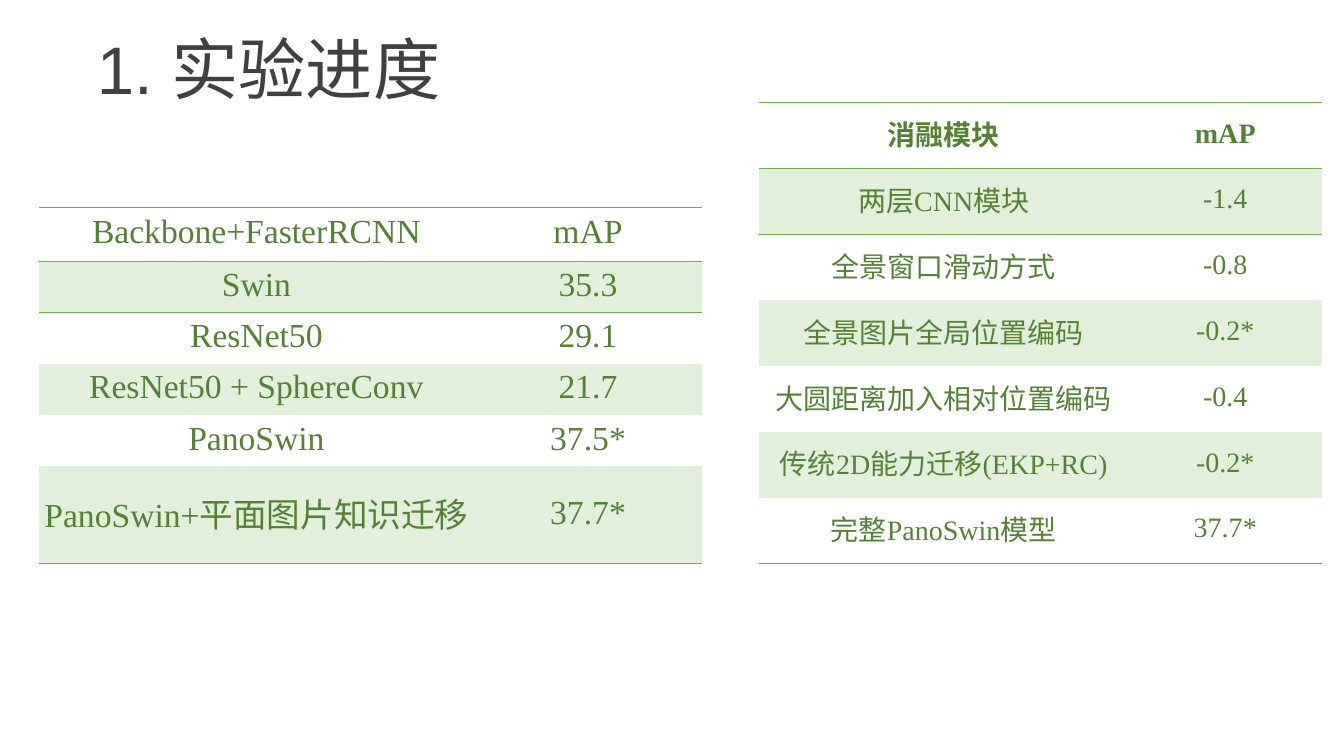
from dataclasses import dataclass

from lxml.etree import SubElement
from pptx import Presentation
from pptx.dml.color import RGBColor
from pptx.enum.text import MSO_ANCHOR, MSO_AUTO_SIZE, PP_ALIGN
from pptx.oxml.ns import qn
from pptx.slide import Slide
from pptx.table import _Cell
from pptx.text.text import TextFrame
from pptx.util import Pt

TITLE_GREY = "404040"
TEXT_GREEN = "548235"
RULE_GREEN = "70AD47"
BAND_GREEN = "E2EFDA"
PLAIN_TABLE_STYLE = "{2D5ABB26-0587-4C30-8999-92F81FD0307C}"
CELL_FORMAT = {
    "vertical_anchor": MSO_ANCHOR.MIDDLE,
    "margin_left": Pt(0.7),
    "margin_right": Pt(0.7),
    "margin_top": Pt(0.7),
    "margin_bottom": Pt(3.6),
}


@dataclass
class ResultTable:
    left: float
    top: float
    column_widths: list[float]
    row_heights: list[float]
    text_size: float
    bold_header: bool
    results: list[tuple[str, str]]


RESULT_TABLES = [
    ResultTable(28, 148.3, [310.3, 163.4], [38.2] + [36.7] * 4 + [69.2], 24, False, [
        ("Backbone+FasterRCNN", "mAP"),
        ("Swin", "35.3"),
        ("ResNet50", "29.1"),
        ("ResNet50 + SphereConv", "21.7"),
        ("PanoSwin", "37.5*"),
        ("PanoSwin+平面图片知识迁移", "37.7*"),
    ]),
    ResultTable(542.2, 73.4, [263.8, 138.4], [47] * 7, 20, True, [
        ("消融模块", "mAP"),
        ("两层CNN模块", "-1.4"),
        ("全景窗口滑动方式", "-0.8"),
        ("全景图片全局位置编码", "-0.2*"),
        ("大圆距离加入相对位置编码", "-0.4"),
        ("传统2D能力迁移(EKP+RC)", "-0.2*"),
        ("完整PanoSwin模型", "37.7*"),
    ]),
]


def apply_format(target: object, values: dict) -> None:
    for name, value in values.items():
        setattr(target, name, value)


def color(hex_code: str) -> RGBColor:
    return RGBColor.from_string(hex_code)


def write(frame: TextFrame, words: str, align: PP_ALIGN, hex_code: str, font: dict) -> None:
    paragraph = frame.paragraphs[0]
    paragraph.alignment = align
    run = paragraph.add_run()
    run.text = words
    apply_format(run.font, font)
    run.font.color.rgb = color(hex_code)


def add_rules(cell: _Cell, sides: list[str]) -> None:
    """Draw thin lines on the given sides, named by their XML tags in schema order."""
    properties = cell._tc.get_or_add_tcPr()
    for position, side in enumerate(sides):
        line = SubElement(properties, qn(side), w=str(Pt(0.5)))
        fill = SubElement(line, qn("a:solidFill"))
        SubElement(fill, qn("a:srgbClr"), val=RULE_GREEN)
        properties.insert(position, line)


def add_results(slide: Slide, spec: ResultTable) -> None:
    row_count = len(spec.results)
    frame = slide.shapes.add_table(
        row_count, len(spec.column_widths), Pt(spec.left), Pt(spec.top),
        Pt(sum(spec.column_widths)), Pt(sum(spec.row_heights)))
    table = frame.table
    next(table._tbl.iter(qn("a:tableStyleId"))).text = PLAIN_TABLE_STYLE
    for column, width in zip(table.columns, spec.column_widths):
        column.width = Pt(width)

    for index, (result, height) in enumerate(zip(spec.results, spec.row_heights)):
        table.rows[index].height = Pt(height)
        sides = ["a:lnT"] if index < 2 else []
        if index in (0, row_count - 1):
            sides.append("a:lnB")
        font = {"name": "Times New Roman", "size": Pt(spec.text_size),
                "bold": spec.bold_header and index == 0}
        for cell, words in zip(table.rows[index].cells, result):
            apply_format(cell, CELL_FORMAT)
            write(cell.text_frame, words, PP_ALIGN.CENTER, TEXT_GREEN, font)
            if index % 2:
                cell.fill.solid()
                cell.fill.fore_color.rgb = color(BAND_GREEN)
            else:
                cell.fill.background()
            add_rules(cell, sides)


def add_heading(slide: Slide) -> None:
    heading = slide.shapes.title
    apply_format(heading, {"left": Pt(62), "top": Pt(22.3),
                           "width": Pt(405.4), "height": Pt(72)})
    frame = heading.text_frame
    apply_format(frame, {"word_wrap": True, "auto_size": MSO_AUTO_SIZE.NONE,
                         "vertical_anchor": MSO_ANCHOR.TOP})
    write(frame, "1. 实验进度", PP_ALIGN.LEFT, TITLE_GREY, {"name": "Arial", "size": Pt(48)})
    frame.paragraphs[0].line_spacing = 0.9


def main() -> None:
    presentation = Presentation()
    presentation.slide_width, presentation.slide_height = Pt(960), Pt(540)
    slide = presentation.slides.add_slide(presentation.slide_layouts[5])
    add_heading(slide)
    for results in RESULT_TABLES:
        add_results(slide, results)
    presentation.save("out.pptx")


if __name__ == "__main__":
    main()
